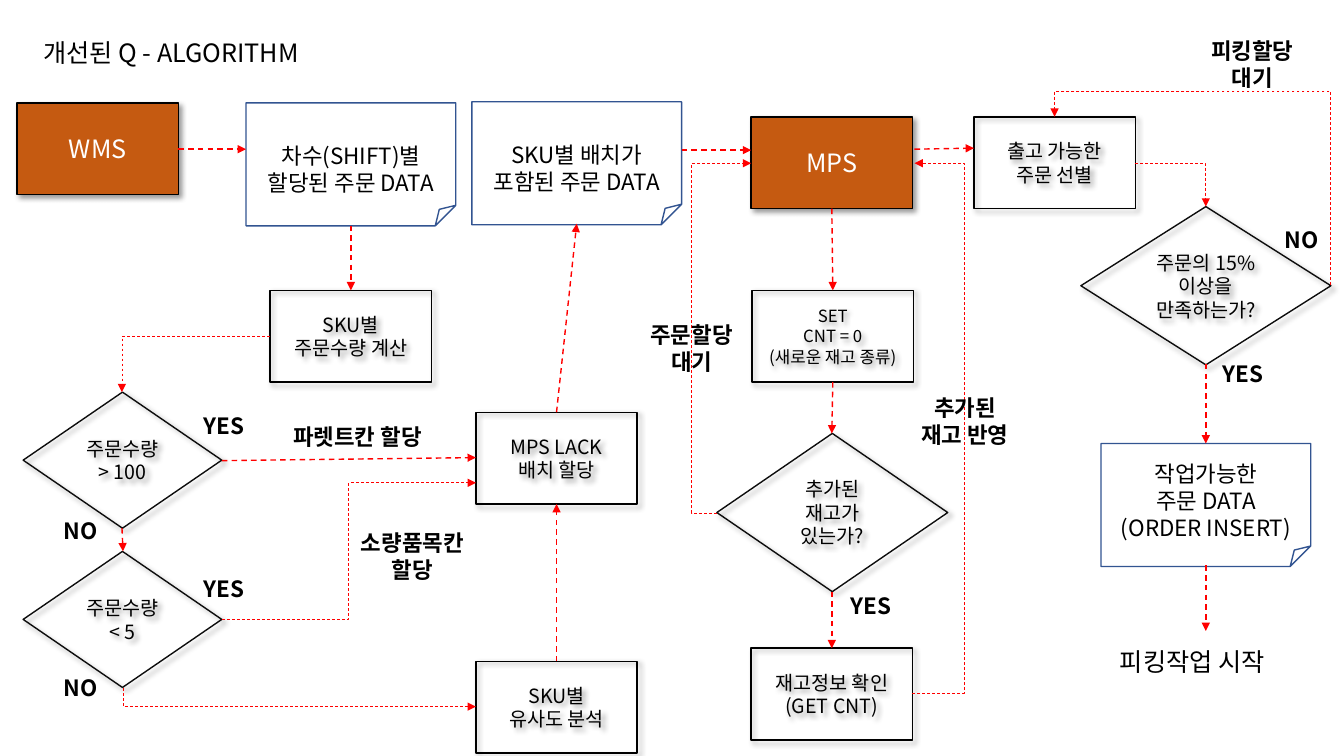
from lxml.etree import SubElement
from pptx import Presentation
from pptx.dml.color import RGBColor
from pptx.enum.dml import MSO_LINE
from pptx.enum.shapes import MSO_CONNECTOR, MSO_SHAPE
from pptx.enum.text import MSO_ANCHOR, PP_ALIGN
from pptx.oxml.ns import qn
from pptx.util import Inches, Pt


def color(value):
    """Turn a hex string into a colour."""
    return RGBColor.from_string(value)


class Flowchart:
    """Draw flowchart parts on a slide whose grid cells are a tenth of an inch."""

    FONT = "Noto Sans CJK KR"
    BLACK, WHITE, RED = "000000", "FFFFFF", "FF0000"
    ORANGE, NAVY, OUTLINE = "C55A11", "325491", "0D0D0D"
    BOX, SHEET = (16, 9.1), (20.8, 12.2)

    def __init__(self, slide):
        """Keep the slide to draw on."""
        self.slide = slide

    def cells(self, *counts):
        """Convert grid cells to lengths."""
        return [Inches(count / 10) for count in counts]

    def typeset(self, frame, text, size, ink, bold=False, align=PP_ALIGN.CENTER):
        """Fill a text frame and format its runs."""
        frame.text = text
        frame.word_wrap = True
        for paragraph in frame.paragraphs:
            paragraph.alignment = align
            for run in paragraph.runs:
                run.font.size, run.font.bold, run.font.name = Pt(size), bold, self.FONT
                run.font.color.rgb = color(ink)
                SubElement(run.font._element, qn("a:ea"), typeface=self.FONT)

    def label(self, left, top, width, text, size=16, bold=True, align=PP_ALIGN.CENTER):
        """Add free text."""
        height = 1 + size / 6 * (text.count("\n") + 1)
        caption = self.slide.shapes.add_textbox(*self.cells(left, top, width, height))
        self.typeset(caption.text_frame, text, size, self.BLACK, bold, align)

    def node(self, kind, place, extent, text, size, line, fill=None, ink=BLACK):
        """Add an outlined shape with centred text."""
        step = self.slide.shapes.add_shape(kind, *self.cells(*place, *extent))
        step.shadow.inherit = False
        step.line.color.rgb, step.line.width = color(line), Pt(1)
        if fill:
            step.fill.solid()
            step.fill.fore_color.rgb = color(fill)
        else:
            step.fill.background()
        step.text_frame.vertical_anchor = MSO_ANCHOR.MIDDLE
        self.typeset(step.text_frame, text, size, ink)
        return step

    def cast_shadow(self, step):
        """Give a shape a soft shadow to the lower right."""
        effects = step._element.spPr.find(qn("a:effectLst"))
        outer = SubElement(effects, qn("a:outerShdw"), blurRad="50800", dist="38100",
                           dir="2700000", algn="tl", rotWithShape="0")
        tint = SubElement(outer, qn("a:srgbClr"), val=self.BLACK)
        SubElement(tint, qn("a:alpha"), val="40000")

    def process(self, left, top, text, size=14):
        """Add a process box."""
        self.cast_shadow(self.node(MSO_SHAPE.RECTANGLE, (left, top), self.BOX,
                                   text, size, self.BLACK))

    def system(self, left, top, text):
        """Add a filled system box."""
        self.cast_shadow(self.node(MSO_SHAPE.RECTANGLE, (left, top), self.BOX, text,
                                   18, self.BLACK, self.ORANGE, self.WHITE))

    def decision(self, left, top, width, height, text):
        """Add a decision diamond."""
        self.cast_shadow(self.node(MSO_SHAPE.FLOWCHART_DECISION, (left, top),
                                   (width, height), text, 14, self.OUTLINE))

    def sheet(self, left, top, text, drop):
        """Add a data sheet whose text is lowered or set at the bottom."""
        page = self.node(MSO_SHAPE.FOLDED_CORNER, (left, top), self.SHEET,
                         text, 16, self.NAVY)
        if drop:
            page.text_frame.margin_top = Inches(0.05 + drop / 10)
        else:
            page.text_frame.vertical_anchor = MSO_ANCHOR.BOTTOM

    def arrow(self, start, end, kind=MSO_CONNECTOR.STRAIGHT, width=1):
        """Add a dashed red arrow."""
        flow = self.slide.shapes.add_connector(kind, *self.cells(*start, *end))
        flow.line.color.rgb, flow.line.width = color(self.RED), Pt(width)
        flow.line.dash_style = MSO_LINE.DASH
        SubElement(flow._element.spPr.find(qn("a:ln")), qn("a:tailEnd"), type="triangle")
        SubElement(flow._element.spPr, qn("a:effectLst"))
        return flow

    def elbow(self, start, end, *bends):
        """Add a thin bent arrow with its bends as shares of its extent."""
        flow = self.arrow(start, end, MSO_CONNECTOR.ELBOW, 0.5)
        geometry = flow._element.spPr.find(qn("a:prstGeom"))
        geometry.set("prst", f"bentConnector{len(bends) + 2}")
        guides = geometry.find(qn("a:avLst"))
        for number, share in enumerate(bends, 1):
            SubElement(guides, qn("a:gd"), name=f"adj{number}",
                       fmla=f"val {round(share * 100000)}")


deck = Presentation()
deck.slide_width, deck.slide_height = Inches(13.33), Inches(7.5)
chart = Flowchart(deck.slides.add_slide(deck.slide_layouts[6]))

chart.label(3.3, 3.2, 30.6, "개선된 Q - ALGORITHM", 18, False, PP_ALIGN.LEFT)
chart.label(110.1, 63.6, 18.9, "피킹작업 시작", 18, False, PP_ALIGN.LEFT)

for left, top, name in [(1.7, 10.2, "WMS"), (74.5, 11.6, "MPS")]:
    chart.system(left, top, name)

for left, top, data, drop in [
    (24.4, 10.2, "차수(SHIFT)별\n할당된 주문 DATA", 3),
    (46.8, 10.1, "SKU별 배치가\n포함된 주문 DATA", 3),
    (109.2, 44, "작업가능한\n주문 DATA\n(ORDER INSERT)", 0),
]:
    chart.sheet(left, top, data, drop)

for left, top, task, size in [
    (26.8, 28.8, "SKU별\n주문수량 계산", 14),
    (47.2, 40.9, "MPS LACK\n배치 할당", 14),
    (47.2, 65.6, "SKU별\n유사도 분석", 14),
    (74.6, 28.8, "SET\nCNT = 0\n(새로운 재고 종류)", 12),
    (74.5, 64.3, "재고정보 확인\n(GET CNT)", 14),
    (96.6, 11.6, "출고 가능한\n주문 선별", 14),
]:
    chart.process(left, top, task, size)

for left, top, width, height, question in [
    (2.3, 38.9, 19.7, 13.5, "주문수량\n> 100"),
    (2.3, 54.7, 19.7, 13.5, "주문수량\n< 5"),
    (71.1, 43, 22.9, 15.7, "추가된\n재고가\n있는가?"),
    (107.2, 20.5, 24.8, 15.7, "주문의 15%\n이상을\n만족하는가?"),
]:
    chart.decision(left, top, width, height, question)

for start, end in [
    ((17.7, 14.8), (24.4, 14.8)), ((34.8, 22.4), (34.8, 28.8)),
    ((12.1, 52.4), (12.2, 54.7)), ((22, 45.7), (47.2, 45.4)),
    ((55.2, 65.6), (55.2, 50)), ((55.2, 40.9), (57.2, 22.2)),
    ((67.6, 14.9), (74.5, 14.9)), ((82.5, 20.7), (82.6, 28.8)),
    ((82.6, 37.9), (82.5, 43)), ((82.5, 58.7), (82.5, 64.3)),
    ((90.7, 14.8), (96.6, 14.7)), ((119.6, 36.1), (119.6, 44)),
    ((119.6, 56.1), (119.6, 62.6)),
]:
    chart.arrow(start, end)

for start, end, *bends in [
    ((26.8, 33.4), (12.1, 38.9)),
    ((112.6, 16.2), (119.6, 20.5)),
    ((12.2, 68.3), (47.2, 70.1), 0),
    ((22, 61.4), (47.2, 47.9), 0.5),
    ((71.1, 50.9), (74.5, 16.2), -0.73),
    ((90.5, 68.8), (90.7, 16.2), 25.5),
    ((132, 28.3), (104.6, 11.6), 0, 1.15),
]:
    chart.elbow(start, end, *bends)

for left, top, answer in [
    (18, 40.4, "YES"), (18, 56.6, "YES"), (82.2, 58.2, "YES"), (119.1, 35.2, "YES"),
    (3.8, 50.8, "NO"), (3.8, 66.4, "NO"), (124.9, 21.9, "NO"),
]:
    chart.label(left, top, 8.4, answer)

for left, top, width, remark in [
    (26.9, 41.5, 17.1, "파렛트칸 할당"), (33.7, 52, 14.4, "소량품목칸\n할당"),
    (61.6, 31.4, 14, "주문할당\n대기"), (88.9, 38.6, 13.6, "추가된\n재고 반영"),
    (117.4, 3.2, 13.6, "피킹할당\n대기"),
]:
    chart.label(left, top, width, remark)

deck.save("out.pptx")
